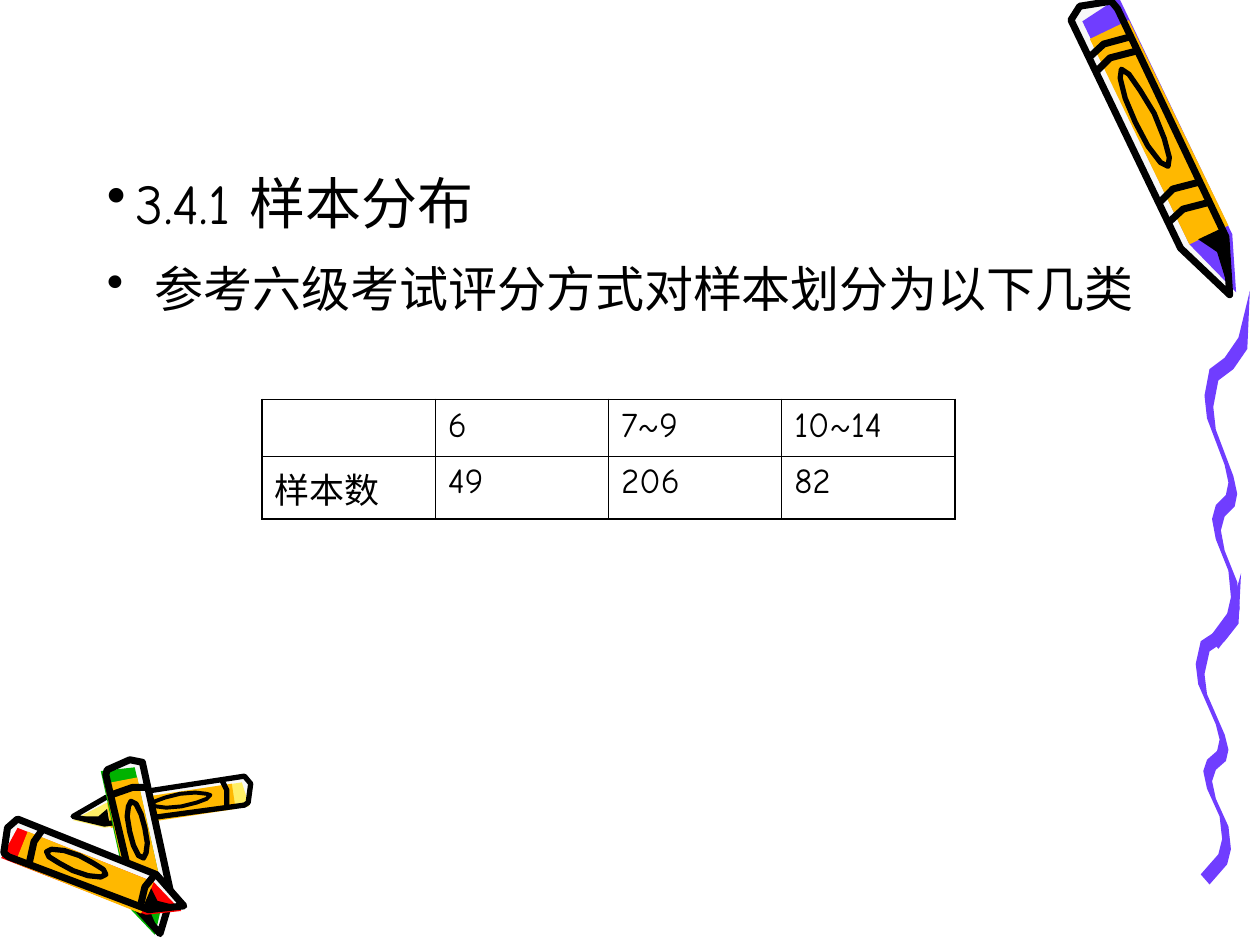
import dataclasses
import math

import lxml.etree
import pptx
import pptx.dml.color
import pptx.enum.shapes
import pptx.enum.text
import pptx.oxml.ns
import pptx.util


@dataclasses.dataclass(frozen=True)
class Theme:
    font: str = "Comic Neue"
    ink: str = "000000"
    paper: str = "F8F8F8"
    wrapper: str = "FFB800"
    violet: str = "703DFF"
    yellow: str = "FFEF66"
    red: str = "FF0000"
    green: str = "00B200"
    heading: int = 32
    body: int = 28
    cell: int = 20
    outer_line: float = 1.08
    inner_line: float = 0.45


@dataclasses.dataclass(frozen=True)
class Crayon:
    tint: str
    end: tuple
    tip: tuple
    half_width: float
    bands: tuple
    stroke: float

    def place(self, along, across):
        run, rise = (self.tip[axis] - self.end[axis] for axis in (0, 1))
        reach = across * self.half_width / math.hypot(run, rise)
        return (self.end[0] + along * run - reach * rise,
                self.end[1] + along * rise + reach * run)


THEME = Theme()
COLUMNS, ROWS = 1000, 750
UNIT = pptx.util.Inches(10) // COLUMNS

CRAYONS = [
    Crayon(THEME.violet, (867, 8), (976, 234), 19, (0.12, 0.17, 0.63, 0.7), 4),
    Crayon(THEME.yellow, (196, 627), (58, 648), 11, (0.12,), 3),
    Crayon(THEME.green, (98, 608), (127, 741), -15, (0.14,), 4),
    Crayon(THEME.red, (8, 664), (146, 719), -15, (0.14, 0.78), 4),
]

SILHOUETTE = [(0, 1), (-0.03, 0.4), (0, -0.9), (0.03, -1), (0.83, -0.9), (1, 0), (0.8, 1)]
TINTED_AREA = [(0.02, 0.6), (0, -1.2), (0.83, -1.2), (1, -0.3), (0.8, 0.6)]
WRAPPER_AREA = [(0.08, 0.6), (0.08, -1.2), (0.8, -1.2), (0.8, 0.6)]
TIP_SHADE = [(0.8, 0.2), (0.8, -0.9), (0.97, -0.1), (0.86, -0.3)]
BAND_BOW = [(0.01, 1), (-0.01, 0.2), (0.01, -1)]
EMBLEM_CENTRE, EMBLEM_RADII, EMBLEM_SIDES = (0.38, 0), (0.17, 0.42), 12

WAVE_KNOTS = [(36, 0), (27, 32), (16, 46), (4, 54), (0, 72), (2, 88), (16, 120), (19, 132),
              (17, 141), (9, 148), (6, 157), (9, 171), (19, 193), (21, 211), (18, 223), (4, 239)]
WAVE_THICKNESS = (7, 8)
WAVES = [((949, 455), 1), ((956, 231), 1.15)]


def grid(*cells):
    return [pptx.util.Emu(round(UNIT * cell)) for cell in cells]


def colour(value):
    return pptx.dml.color.RGBColor.from_string(value)


def add_outline(shapes, points, fill=None, stroke=None, close=True):
    builder = shapes.build_freeform(*points[0], scale=UNIT)
    builder.add_line_segments(points[1:], close=close)
    shape = builder.convert_to_shape()
    shape.shadow.inherit = False
    if fill:
        shape.fill.solid()
        shape.fill.fore_color.rgb = colour(fill)
    else:
        shape.fill.background()
    if stroke:
        shape.line.color.rgb = colour(THEME.ink)
        shape.line.width = pptx.util.Pt(stroke)
    else:
        shape.line.fill.background()


def emblem_ring():
    turns = [2 * math.pi * side / EMBLEM_SIDES for side in range(EMBLEM_SIDES)]
    return [(EMBLEM_CENTRE[0] + EMBLEM_RADII[0] * math.cos(turn),
             EMBLEM_CENTRE[1] + EMBLEM_RADII[1] * math.sin(turn)) for turn in turns]


def add_crayon(page, crayon):
    shapes = page.shapes.add_group_shape().shapes

    def draw(part, **style):
        add_outline(shapes, [crayon.place(*point) for point in part], **style)

    draw(SILHOUETTE, fill=THEME.paper)
    draw(TINTED_AREA, fill=crayon.tint)
    draw(WRAPPER_AREA, fill=THEME.wrapper)
    draw(TIP_SHADE, fill=THEME.ink)
    draw(SILHOUETTE, stroke=crayon.stroke)
    for band in crayon.bands:
        bow = [(band + along, across) for along, across in BAND_BOW]
        draw(bow, stroke=crayon.stroke, close=False)
    draw(emblem_ring(), stroke=crayon.stroke * 0.75)


def add_wave(page, origin, stretch):
    tip, *near_edge = WAVE_KNOTS
    far_edge = [(x + WAVE_THICKNESS[0], y + WAVE_THICKNESS[1]) for x, y in near_edge]
    ribbon = [tip, *near_edge, *reversed(far_edge)]
    points = [(origin[0] + x, origin[1] + y * stretch) for x, y in ribbon]
    add_outline(page.shapes, points, fill=THEME.violet)


def write(para, text, size, space_before=0):
    para.text = text
    para.space_before = pptx.util.Pt(space_before)
    for span in para.runs:
        span.font.name = THEME.font
        span.font.size = pptx.util.Pt(size)
        span.font.color.rgb = colour(THEME.ink)


def add_bullet_box(page, area, text, size, anchor, hanging, space_before=0):
    frame = page.shapes.add_textbox(*grid(*area)).text_frame
    frame.word_wrap = True
    frame.vertical_anchor = anchor
    para = frame.paragraphs[0]
    write(para, text, size, space_before)
    properties = para._p.get_or_add_pPr()
    properties.set("marL", str(UNIT * hanging))
    properties.set("indent", str(-UNIT * hanging))
    lxml.etree.SubElement(properties, pptx.oxml.ns.qn("a:buChar"), char="•")


def set_border(cell, side, weight):
    line = lxml.etree.SubElement(
        cell._tc.get_or_add_tcPr(), pptx.oxml.ns.qn("a:ln" + side), w=str(pptx.util.Pt(weight)))
    fill = lxml.etree.SubElement(line, pptx.oxml.ns.qn("a:solidFill"))
    lxml.etree.SubElement(fill, pptx.oxml.ns.qn("a:srgbClr"), val=THEME.ink)


def add_sample_table(page, corner, width, row_heights, records):
    last_row, last_column = len(records) - 1, len(records[0]) - 1
    area = grid(*corner, width, sum(row_heights))
    table = page.shapes.add_table(last_row + 1, last_column + 1, *area).table
    table.first_row = table.horz_banding = False
    for row, record in enumerate(records):
        table.rows[row].height = grid(row_heights[row])[0]
        for column, text in enumerate(record):
            cell = table.cell(row, column)
            write(cell.text_frame.paragraphs[0], text, THEME.cell, space_before=5)
            edges = {"L": column == 0, "R": column == last_column,
                     "T": row == 0, "B": row == last_row}
            for side, is_outer in edges.items():
                set_border(cell, side, THEME.outer_line if is_outer else THEME.inner_line)
            cell.fill.background()


def main():
    deck = pptx.Presentation()
    deck.slide_width, deck.slide_height = grid(COLUMNS, ROWS)
    page = deck.slides.add_slide(deck.slide_layouts[6])
    for crayon in CRAYONS:
        add_crayon(page, crayon)
    for origin, stretch in WAVES:
        add_wave(page, origin, stretch)
    anchors = pptx.enum.text.MSO_ANCHOR
    add_bullet_box(page, (75, 17, 751, 175), "3.4.1 样本分布",
                   THEME.heading, anchors.BOTTOM, hanging=23)
    add_bullet_box(page, (75, 200, 842, 108), "参考六级考试评分方式对样本划分为以下几类",
                   THEME.body, anchors.TOP, hanging=38, space_before=7)
    add_sample_table(page, (208, 317), 550, (45, 50),
                     [("", "6", "7~9", "10~14"), ("样本数", "49", "206", "82")])
    deck.save("out.pptx")


if __name__ == "__main__":
    main()
